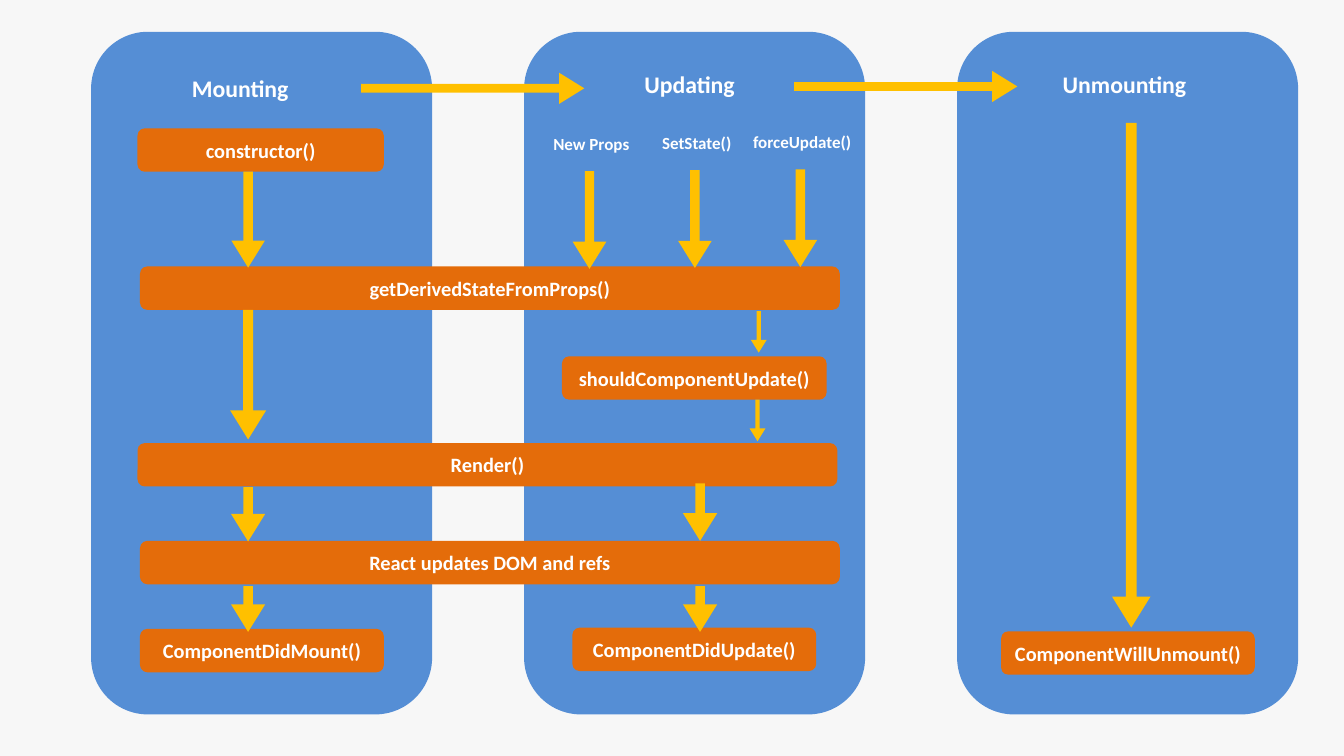
from collections import namedtuple

from pptx import Presentation
from pptx.dml.color import RGBColor
from pptx.enum import shapes as kinds, text as styles
from pptx.util import Inches, Pt

BACKDROP = RGBColor(0xF7, 0xF7, 0xF7)
BLUE = RGBColor(0x55, 0x8E, 0xD5)
ORANGE = RGBColor(0xE4, 0x6C, 0x0A)
AMBER = RGBColor(0xFF, 0xC0, 0x00)
WHITE = RGBColor(0xFF, 0xFF, 0xFF)
FONT = "Calibri"
STEP_HEIGHT = 0.71
PANEL_PITCH = 7.085

Box = namedtuple("Box", "left top width height")


def add_block(slide, kind, fill, left, top, width, height):
    block = slide.shapes.add_shape(
        kind, Inches(left), Inches(top), Inches(width), Inches(height))
    block.shadow.inherit = False
    block.fill.solid()
    block.fill.fore_color.rgb = fill
    block.line.fill.background()
    return block


def write(frame, wording, size, align):
    frame.word_wrap = True
    paragraph = frame.paragraphs[0]
    paragraph.alignment = align
    run = paragraph.add_run()
    run.text = wording
    run.font.name = FONT
    run.font.size = Pt(size)
    run.font.bold = True
    run.font.color.rgb = WHITE


def add_label(slide, wording, size, align, left, top, width, height):
    label = slide.shapes.add_textbox(
        Inches(left), Inches(top), Inches(width), Inches(height))
    write(label.text_frame, wording, size, align)


def add_step(slide, wording, left, top, width):
    step = add_block(slide, kinds.MSO_SHAPE.ROUNDED_RECTANGLE, ORANGE,
                     left, top, width, STEP_HEIGHT)
    step.text_frame.vertical_anchor = styles.MSO_ANCHOR.MIDDLE
    write(step.text_frame, wording, 24, styles.PP_ALIGN.CENTER)


def add_arrow(slide, kind, left, top, width, height):
    arrow = add_block(slide, kind, AMBER, left, top, width, height)
    arrow.adjustments[0] = 0.28
    arrow.adjustments[1] = 0.807


def add_down_arrow(slide, center, top, length, thickness=0.56):
    add_arrow(slide, kinds.MSO_SHAPE.DOWN_ARROW,
              center - thickness / 2, top, thickness, length)


def add_panel(slide, box, phase, dx, dy, width):
    add_block(slide, kinds.MSO_SHAPE.ROUNDED_RECTANGLE, BLUE, *box)
    add_label(slide, phase, 28, styles.PP_ALIGN.LEFT,
              box.left + dx, box.top + dy, width, 0.57)


def add_transition(slide, box, dy):
    """Arrow from one phase to the next."""
    add_arrow(slide, kinds.MSO_SHAPE.RIGHT_ARROW,
              box.left + 4.42, box.top + dy, 3.65, 0.51)


def add_shared_steps(slide, box):
    """Steps that run across mounting and updating."""
    for wording, dx, dy in (("getDerivedStateFromProps()", 0.8, 3.84),
                            ("Render()", 0.76, 6.73),
                            ("React updates DOM and refs", 0.8, 8.33)):
        add_step(slide, wording, box.left + dx, box.top + dy, 11.45)


def add_mounting_flow(slide, box):
    add_step(slide, "constructor()", box.left + 0.76, box.top + 1.58, 4.03)
    add_step(slide, "ComponentDidMount()", box.left + 0.8, box.top + 9.77, 3.99)
    for dy, length, thickness in ((2.29, 1.57, 0.55), (4.55, 2.12, 0.59),
                                  (7.45, 0.89, 0.56), (9.07, 0.75, 0.56)):
        add_down_arrow(slide, box.left + 2.57, box.top + dy, length, thickness)


def add_updating_flow(slide, box):
    # Triggers, each with an arrow into the shared steps
    for i, trigger in enumerate(("New Props", "SetState()", "forceUpdate()")):
        center = box.left + 1.07 + 1.725 * i
        rise = 0.015 * i
        add_label(slide, trigger, 20, styles.PP_ALIGN.CENTER,
                  center - 0.98, box.top + 1.61 - rise, 2.02, 0.44)
        add_down_arrow(slide, center, box.top + 2.28 - rise, 1.6, 0.55)

    # Update check
    add_step(slide, "shouldComponentUpdate()", box.left + 0.62, box.top + 5.31, 4.33)
    for dx, dy in ((3.84, 4.57), (3.82, 6.02)):
        add_down_arrow(slide, box.left + dx, box.top + dy, 0.68, 0.26)

    # Commit
    add_step(slide, "ComponentDidUpdate()", box.left + 0.79, box.top + 9.75, 3.99)
    for dy, length in ((7.39, 0.94), (9.07, 0.75)):
        add_down_arrow(slide, box.left + 2.88, box.top + dy, length)


def add_unmounting_flow(slide, box):
    add_step(slide, "ComponentWillUnmount()", box.left + 0.72, box.top + 9.81, 4.15)
    add_down_arrow(slide, box.left + 2.85, box.top + 1.49, 8.26, 0.63)


def main():
    deck = Presentation()
    deck.slide_width, deck.slide_height = Inches(21.99), Inches(12.37)
    slide = deck.slides.add_slide(deck.slide_layouts[6])
    slide.background.fill.solid()
    slide.background.fill.fore_color.rgb = BACKDROP

    # Phase panels
    mounting, updating, unmounting = (
        Box(1.49 + PANEL_PITCH * i, 0.52, 5.58, 11.17) for i in range(3))
    add_panel(slide, mounting, "Mounting", 1.55, 0.64, 1.99)
    add_panel(slide, updating, "Updating", 1.87, 0.58, 1.83)
    add_panel(slide, unmounting, "Unmounting", 1.63, 0.58, 2.33)
    add_transition(slide, mounting, 0.67)
    add_transition(slide, updating, 0.64)

    # Steps and arrows inside the panels
    add_shared_steps(slide, mounting)
    add_mounting_flow(slide, mounting)
    add_updating_flow(slide, updating)
    add_unmounting_flow(slide, unmounting)
    deck.save("out.pptx")


if __name__ == "__main__":
    main()
